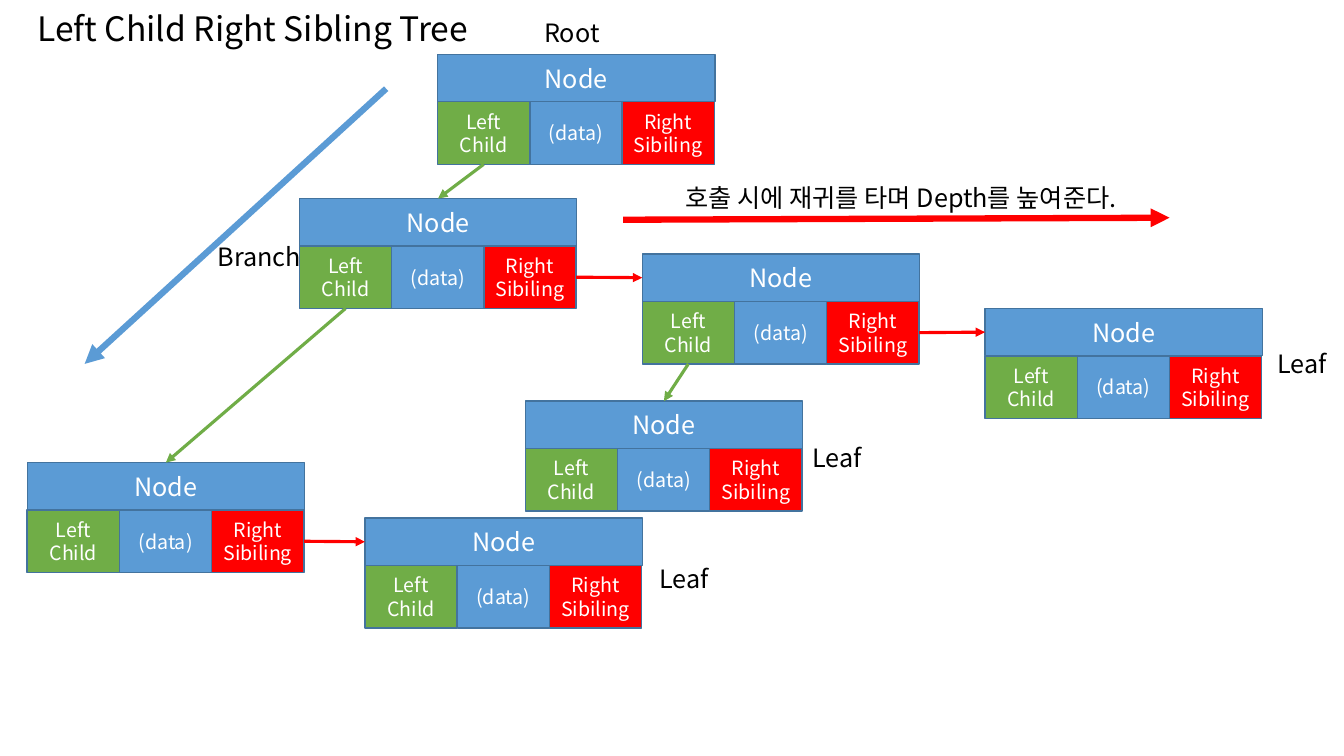
from lxml.etree import SubElement
from pptx import Presentation
from pptx.dml.color import RGBColor as RGB
from pptx.enum.shapes import MSO_CONNECTOR as Conn, MSO_SHAPE as Shape
from pptx.enum.text import MSO_ANCHOR as Anchor, MSO_AUTO_SIZE as AutoSize, PP_ALIGN as Align
from pptx.oxml.ns import qn
from pptx.util import Inches, Pt

COLORS = {
    "blue": "5B9BD5",
    "green": "70AD47",
    "red": "FF0000",
    "edge": "43739E",
    "white": "FFFFFF",
    "black": "000000",
}
FONT = "Noto Sans CJK KR"
COLUMNS, ROWS = 133.3, 75
HEADER_W, HEADER_H = 27.5, 4.7
CELL_W, CELL_H = 9.15, 6.2
TOP, LEFT, BOTTOM, RIGHT = range(4)


class TreeSlide:
    def __init__(self, prs):
        self.s = prs.slides.add_slide(prs.slide_layouts[5])
        self.col = prs.slide_width / COLUMNS
        self.row = prs.slide_height / ROWS

    def place(self, x, y, w, h):
        return [int(v) for v in (x * self.col, y * self.row, w * self.col, h * self.row)]

    def style(self, tf, size, color, align):
        for p in tf.paragraphs:
            p.alignment = align
            for r in p.runs:
                r.font.size = Pt(size)
                r.font.name = FONT
                r.font.color.rgb = RGB.from_string(COLORS[color])
                SubElement(r.font._element, qn("a:ea"), typeface=FONT)

    def title(self, text, x, y, w, h):
        sp = self.s.shapes.title
        sp.left, sp.top, sp.width, sp.height = self.place(x, y, w, h)
        self.fill_label(sp.text_frame, text, 24)

    def label(self, text, x, y, w):
        sp = self.s.shapes.add_textbox(*self.place(x, y, w, 4))
        self.fill_label(sp.text_frame, text, 18)

    def fill_label(self, tf, text, size):
        tf.text = text
        tf.word_wrap = False
        tf.auto_size = AutoSize.SHAPE_TO_FIT_TEXT
        tf.vertical_anchor = Anchor.TOP
        self.style(tf, size, "black", Align.LEFT)

    def box(self, group, text, fill, size, x, y, w, h):
        sp = group.shapes.add_shape(Shape.RECTANGLE, *self.place(x, y, w, h))
        sp.shadow.inherit = False
        sp.fill.solid()
        sp.fill.fore_color.rgb = RGB.from_string(COLORS[fill])
        sp.line.color.rgb = RGB.from_string(COLORS["edge"])
        sp.line.width = Pt(1)
        tf = sp.text_frame
        tf.text = text
        tf.word_wrap = True
        tf.vertical_anchor = Anchor.MIDDLE
        self.style(tf, size, "white", Align.CENTER)
        return sp

    def node(self, x, y):
        group = self.s.shapes.add_group_shape()
        parts = {"header": self.box(group, "Node", "blue", 18, x, y, HEADER_W, HEADER_H)}
        cells = [("data", "(data)", "blue", 1),
                 ("sibling", "Right\vSibiling", "red", 2),
                 ("child", "Left\vChild", "green", 0)]
        for name, text, fill, i in cells:
            parts[name] = self.box(group, text, fill, 14,
                                   x + i * CELL_W, y + HEADER_H, CELL_W, CELL_H)
        return parts

    def arrow(self, color, width, x1=0, y1=0, x2=0, y2=0):
        c = self.s.shapes.add_connector(Conn.STRAIGHT, *self.place(x1, y1, x2, y2))
        c.line.color.rgb = RGB.from_string(COLORS[color])
        c.line.width = Pt(width)
        SubElement(c.line._get_or_add_ln(), qn("a:tailEnd"), type="triangle")
        SubElement(c._element.spPr, qn("a:effectLst"))
        return c

    def link(self, color, start, start_site, end, end_site):
        c = self.arrow(color, 2.25)
        c.begin_connect(start, start_site)
        c.end_connect(end, end_site)

    def child_link(self, parent, child):
        self.link("green", parent["child"], BOTTOM, child["header"], TOP)

    def sibling_link(self, node, sibling):
        self.link("red", node["sibling"], RIGHT, sibling["header"], LEFT)


def main():
    prs = Presentation()
    prs.slide_width, prs.slide_height = Inches(13.33), Inches(7.5)
    tree = TreeSlide(prs)
    tree.title("Left Child Right Sibling Tree", 2.7, 0.3, 44.8, 5)

    places = {
        "root": (43.4, 5.4),
        "branch": (29.7, 19.7),
        "middle": (63.7, 25.2),
        "last": (97.7, 30.6),
        "middle leaf": (52.1, 39.8),
        "first": (2.7, 45.9),
        "second": (36.2, 51.4),
    }
    nodes = {name: tree.node(*place) for name, place in places.items()}

    for parent, child in [("root", "branch"), ("branch", "first"), ("middle", "middle leaf")]:
        tree.child_link(nodes[parent], nodes[child])
    for node, sibling in [("branch", "middle"), ("middle", "last"), ("first", "second")]:
        tree.sibling_link(nodes[node], nodes[sibling])

    tree.arrow("blue", 4.5, 38.3, 8.8, 8.4, 36.1)
    tree.arrow("red", 4.5, 61.8, 21.8, 116, 21.6)

    tree.label("Root", 53, 1.2, 8.3)
    tree.label("Branch", 20.6, 23.4, 10.7)
    tree.label("호출 시에 재귀를 타며 Depth를 높여준다.", 67, 17.6, 49.4)
    for x, y in [(64.4, 55.4), (125.7, 34.1), (79.6, 43.4)]:
        tree.label("Leaf", x, y, 7.6)

    prs.save("out.pptx")


if __name__ == "__main__":
    main()
